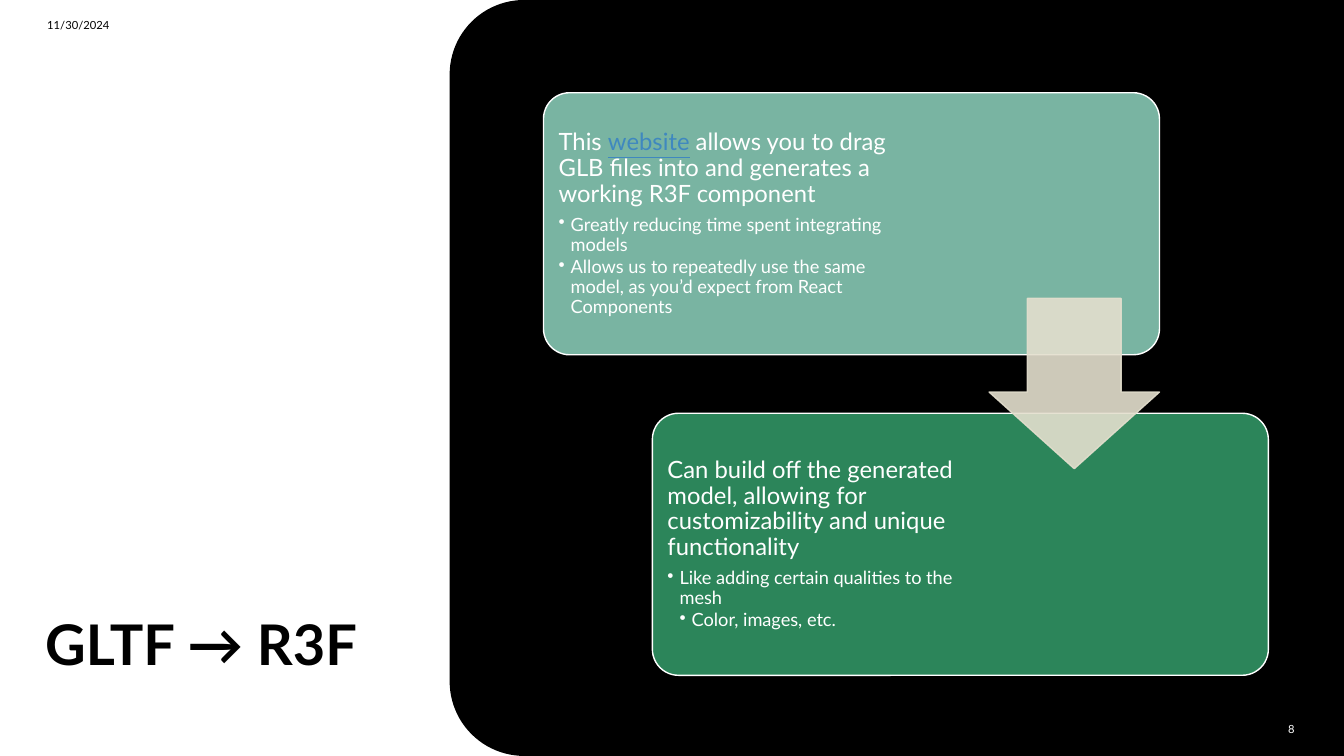
import math

from lxml import etree
from pptx import Presentation
from pptx.dml.color import RGBColor
from pptx.enum import shapes, text
from pptx.oxml import ns
from pptx.util import Inches, Pt

COLORS = {
    "black": "000000",
    "white": "FFFFFF",
    "sage": "79B4A2",
    "green": "2C855A",
    "sand": "E4DFCE",
    "link": "3F88BF",
}
FONT = "Lato"
WIDTH, HEIGHT = 13.33, 7.5
CARD_SIZE = (6.11, 2.6)
CARD_PAD = 0.08
BULLET_INDENT = 0.12


def rgb(name):
    return RGBColor.from_string(COLORS[name])


class SlideBuilder:
    def __init__(self, slide):
        self.slide = slide
        slide.background.fill.solid()
        slide.background.fill.fore_color.rgb = rgb("black")

    def paint(self, shape, fill, line=None, opacity=None):
        shape.shadow.inherit = False
        shape.fill.solid()
        shape.fill.fore_color.rgb = rgb(fill)
        if line:
            shape.line.color.rgb = rgb(line)
            shape.line.width = Pt(1)
        else:
            shape.line.fill.background()
        if opacity:
            for color in shape._element.spPr.iter(ns.qn("a:srgbClr")):
                etree.SubElement(color, ns.qn("a:alpha"), val=str(opacity * 1000))

    def shape(self, kind, box, fill, line=None, adjust=(), opacity=None):
        shape = self.slide.shapes.add_shape(kind, *map(Inches, box))
        for index, value in enumerate(adjust):
            shape.adjustments[index] = value
        self.paint(shape, fill, line, opacity)

    def panel(self, left, radius, fill, steps=24):
        """Area reaching the right edge, with both left corners rounded."""
        angles = [math.pi / 2 * i / steps for i in range(steps + 1)]
        top = [(left + radius * (1 - math.sin(a)), radius * (1 - math.cos(a)))
               for a in angles]
        bottom = [(x, HEIGHT - y) for x, y in reversed(top)]
        outline = top + bottom + [(WIDTH, HEIGHT), (WIDTH, 0)]
        points = [(Inches(x), Inches(y)) for x, y in outline]
        builder = self.slide.shapes.build_freeform(*points[0])
        builder.add_line_segments(points[1:], close=True)
        self.paint(builder.convert_to_shape(), fill)

    def text_frame(self, box, anchor, inset=None):
        frame = self.slide.shapes.add_textbox(*map(Inches, box)).text_frame
        frame.word_wrap = True
        frame.vertical_anchor = anchor
        if inset:
            frame.margin_left = frame.margin_right = Inches(inset)
            frame.margin_top = frame.margin_bottom = Inches(inset)
        return frame

    def add_runs(self, paragraph, pieces, size, color, bold=False):
        """Add (words, is_link) pieces as formatted runs."""
        for words, is_link in pieces:
            run = paragraph.add_run()
            run.text = words
            run.font.name = FONT
            run.font.size = Pt(size)
            run.font.bold = bold
            run.font.underline = is_link
            run.font.color.rgb = rgb("link" if is_link else color)

    def label(self, words, box, size, color, anchor=text.MSO_ANCHOR.MIDDLE,
              align=text.PP_ALIGN.LEFT, bold=False, spacing=1.0):
        paragraph = self.text_frame(box, anchor).paragraphs[0]
        paragraph.alignment = align
        paragraph.line_spacing = spacing
        self.add_runs(paragraph, [(words, False)], size, color, bold)

    def bullet(self, paragraph, level):
        paragraph.level = level
        properties = paragraph._p.get_or_add_pPr()
        properties.set("marL", str(Inches(BULLET_INDENT * level)))
        properties.set("indent", str(-Inches(BULLET_INDENT)))
        etree.SubElement(properties, ns.qn("a:buChar"), char="•")

    def card(self, left, top, fill, text_width, heading, bullets):
        width, height = CARD_SIZE
        self.shape(shapes.MSO_SHAPE.ROUNDED_RECTANGLE, (left, top, width, height),
                   fill, "white", [0.1])
        box = (left + CARD_PAD, top + CARD_PAD, text_width, height - 2 * CARD_PAD)
        frame = self.text_frame(box, text.MSO_ANCHOR.MIDDLE, 0.07)
        first = frame.paragraphs[0]
        first.line_spacing = 0.9
        first.space_after = Pt(6)
        self.add_runs(first, heading, 17, "white")
        for level, words in bullets:
            paragraph = frame.add_paragraph()
            paragraph.line_spacing = 0.9
            paragraph.space_after = Pt(2)
            self.bullet(paragraph, level)
            self.add_runs(paragraph, [(words, False)], 13, "white")


def main():
    deck = Presentation()
    deck.slide_width, deck.slide_height = Inches(WIDTH), Inches(HEIGHT)
    page = SlideBuilder(deck.slides.add_slide(deck.slide_layouts[6]))

    page.shape(shapes.MSO_SHAPE.RECTANGLE, (0, 0, WIDTH, HEIGHT), "white")
    page.label("GLTF → R3F", (0.35, 0.9, 3.78, 5.87), 40, "black",
               anchor=text.MSO_ANCHOR.BOTTOM, bold=True, spacing=0.9)
    page.label("11/30/2024", (0.37, 0.07, 3, 0.35), 8, "black")
    page.panel(4.46, 0.74, "black")
    page.label("8", (12.47, 7.03, 0.47, 0.4), 8, "white",
               align=text.PP_ALIGN.RIGHT)

    page.card(5.39, 0.92, "sage", 3.42, [
        ("This ", False),
        ("website", True),
        (" allows you to drag GLB files into and generates a working R3F component",
         False),
    ], [
        (1, "Greatly reducing time spent integrating models"),
        (1, "Allows us to repeatedly use the same model, as you’d expect from "
            "React Components"),
    ])
    page.card(6.47, 4.1, "green", 3.19, [
        ("Can build off the generated model, allowing for customizability and "
         "unique functionality", False),
    ], [
        (1, "Like adding certain qualities to the mesh"),
        (2, "Color, images, etc."),
    ])
    page.shape(shapes.MSO_SHAPE.DOWN_ARROW, (9.81, 2.96, 1.69, 1.69), "sand",
               "sand", [0.55, 0.45], opacity=90)

    deck.save("out.pptx")


if __name__ == "__main__":
    main()
